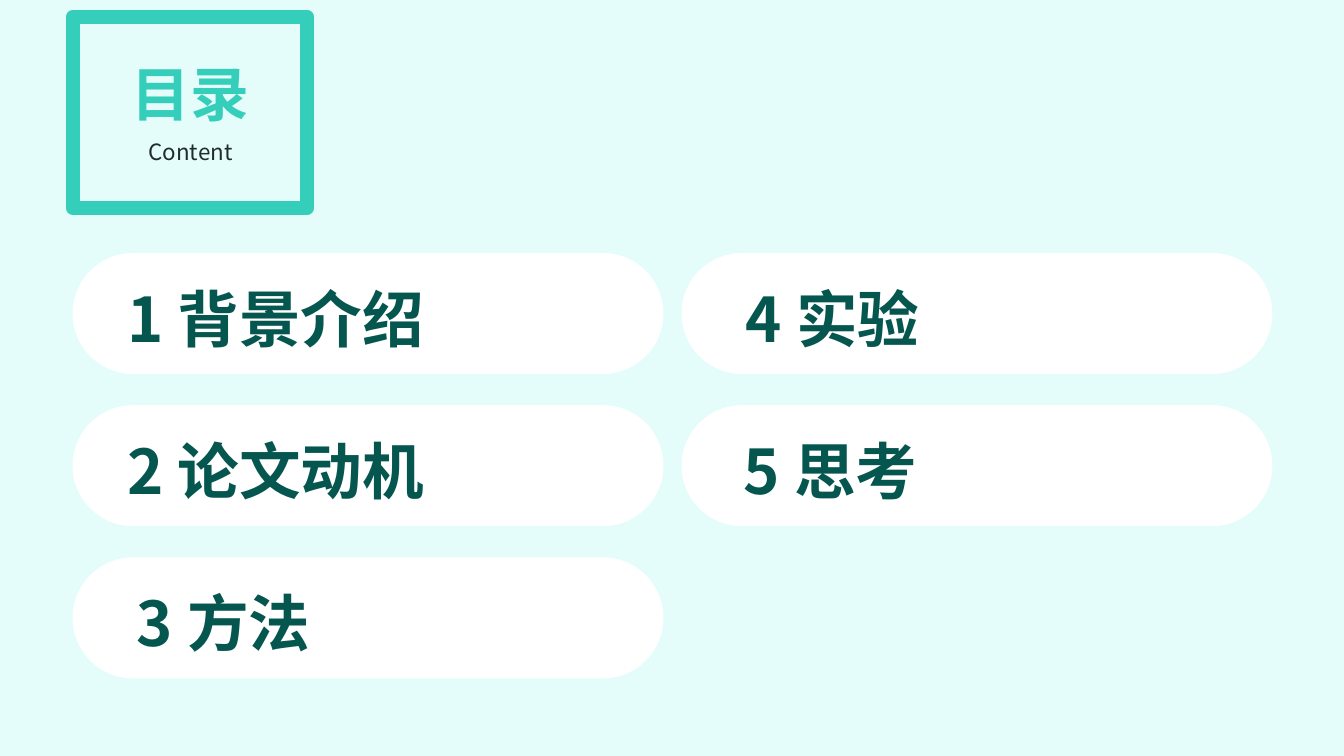
import dataclasses
import typing

import pptx
import pptx.dml.color
import pptx.enum.shapes
import pptx.enum.text
import pptx.oxml
import pptx.oxml.ns
import pptx.util

WIDE, HIGH = pptx.util.Inches(13.333), pptx.util.Inches(7.5)
FACE = "Noto Sans CJK SC"
MINT, TEAL, DEEP, INK, WHITE = "21F4DF", "35CEBA", "04564E", "1F2D2B", "FFFFFF"
LEFT, TOP = 5.4, 33.47
STEP_X, STEP_Y = 45.31, 20.13
SHAPE = pptx.enum.shapes.MSO_SHAPE
ALIGN = pptx.enum.text.PP_ALIGN
ANCHOR = pptx.enum.text.MSO_ANCHOR


@dataclasses.dataclass
class Box:
    """Left, top, width and height as percent of the slide."""
    x: float
    y: float
    w: float
    h: float

    def spots(self) -> tuple[int, ...]:
        return tuple(round(share * size / 100) for share, size in
                     zip((self.x, self.y, self.w, self.h), (WIDE, HIGH) * 2))


@dataclasses.dataclass
class Topic:
    text: str
    col: int
    row: int
    width: float = 18.75
    align: typing.Any = ALIGN.CENTER
    indent: float = 0


TOPICS = [
    Topic("1 背景介绍", 0, 0, 26.48),
    Topic("2 论文动机", 0, 1, 26.48),
    Topic("3 方法", 0, 2),
    Topic("4 实验", 1, 0),
    Topic("5 思考", 1, 1, align=ALIGN.LEFT, indent=0.27),
]


def color(code: str) -> pptx.dml.color.RGBColor:
    return pptx.dml.color.RGBColor.from_string(code)


def style(item: typing.Any, **values: typing.Any) -> None:
    for name, value in values.items():
        setattr(item, name, value)


def draw(slide: typing.Any, kind: typing.Any, box: Box, fill: str = "") -> typing.Any:
    shape = slide.shapes.add_shape(kind, *box.spots())
    shape.shadow.inherit = False
    shape.line.fill.background()
    if fill:
        shape.fill.solid()
        shape.fill.fore_color.rgb = color(fill)
    else:
        shape.fill.background()
    return shape


def write(shape: typing.Any, text: str, size: float, code: str, bold: bool = False,
          align: typing.Any = ALIGN.CENTER, **frame: typing.Any) -> typing.Any:
    """Fill a shape with one line of text and return its paragraph."""
    style(shape.text_frame, **{"word_wrap": True,
                               "auto_size": pptx.enum.text.MSO_AUTO_SIZE.NONE, **frame})
    line = shape.text_frame.paragraphs[0]
    line.alignment = align
    run = line.add_run()
    run.text = text
    style(run.font, name=FACE, size=pptx.util.Pt(size), bold=bold)
    run.font.color.rgb = color(code)
    pptx.oxml.ns.qn("a:ea")
    east = run.font._element.makeelement(pptx.oxml.ns.qn("a:ea"), {"typeface": FACE})
    run.font._element.append(east)
    return line


def add_topic(slide: typing.Any, topic: Topic) -> None:
    x, y = LEFT + topic.col * STEP_X, TOP + topic.row * STEP_Y
    pill = draw(slide, SHAPE.ROUNDED_RECTANGLE, Box(x, y, 43.96, 16), WHITE)
    pill.adjustments[0] = 0.5
    label = slide.shapes.add_textbox(*Box(x + 1.88, y + 2.97, topic.width, 11.2).spots())
    line = write(label, topic.text, 44, DEEP, True, topic.align,
                 vertical_anchor=ANCHOR.MIDDLE)
    if topic.indent:
        line._p.get_or_add_pPr().set("marL", str(pptx.util.Inches(topic.indent)))


def add_head(slide: typing.Any) -> None:
    frame = draw(slide, SHAPE.RECTANGLE, Box(LEFT, 2.27, 17.48, 25.2))
    frame.line.color.rgb = color(TEAL)
    frame.line.width = pptx.util.Pt(10)
    flush = dict(margin_left=0, margin_right=0, margin_top=0, margin_bottom=0,
                 vertical_anchor=ANCHOR.TOP)
    title = slide.shapes.title
    style(title, **dict(zip(("left", "top", "width", "height"),
                            Box(7.13, 7.67, 14.1, 9.6).spots())))
    write(title, "目录", 42, TEAL, True, **flush)
    title.element.getparent().append(title.element)
    note = slide.shapes.add_textbox(*Box(7.13, 18.27, 14.1, 4.53).spots())
    write(note, "Content", 16, INK, **flush)


def main() -> None:
    deck = pptx.Presentation()
    style(deck, slide_width=WIDE, slide_height=HIGH)
    slide = deck.slides.add_slide(deck.slide_layouts[5])
    tint = draw(slide, SHAPE.RECTANGLE, Box(0, 0, 100, 100), MINT)
    shade = tint.element.find(".//" + pptx.oxml.ns.qn("a:srgbClr"))
    shade.append(shade.makeelement(pptx.oxml.ns.qn("a:alpha"), {"val": "12000"}))
    for topic in TOPICS:
        add_topic(slide, topic)
    add_head(slide)
    deck.save("out.pptx")


if __name__ == "__main__":
    main()
